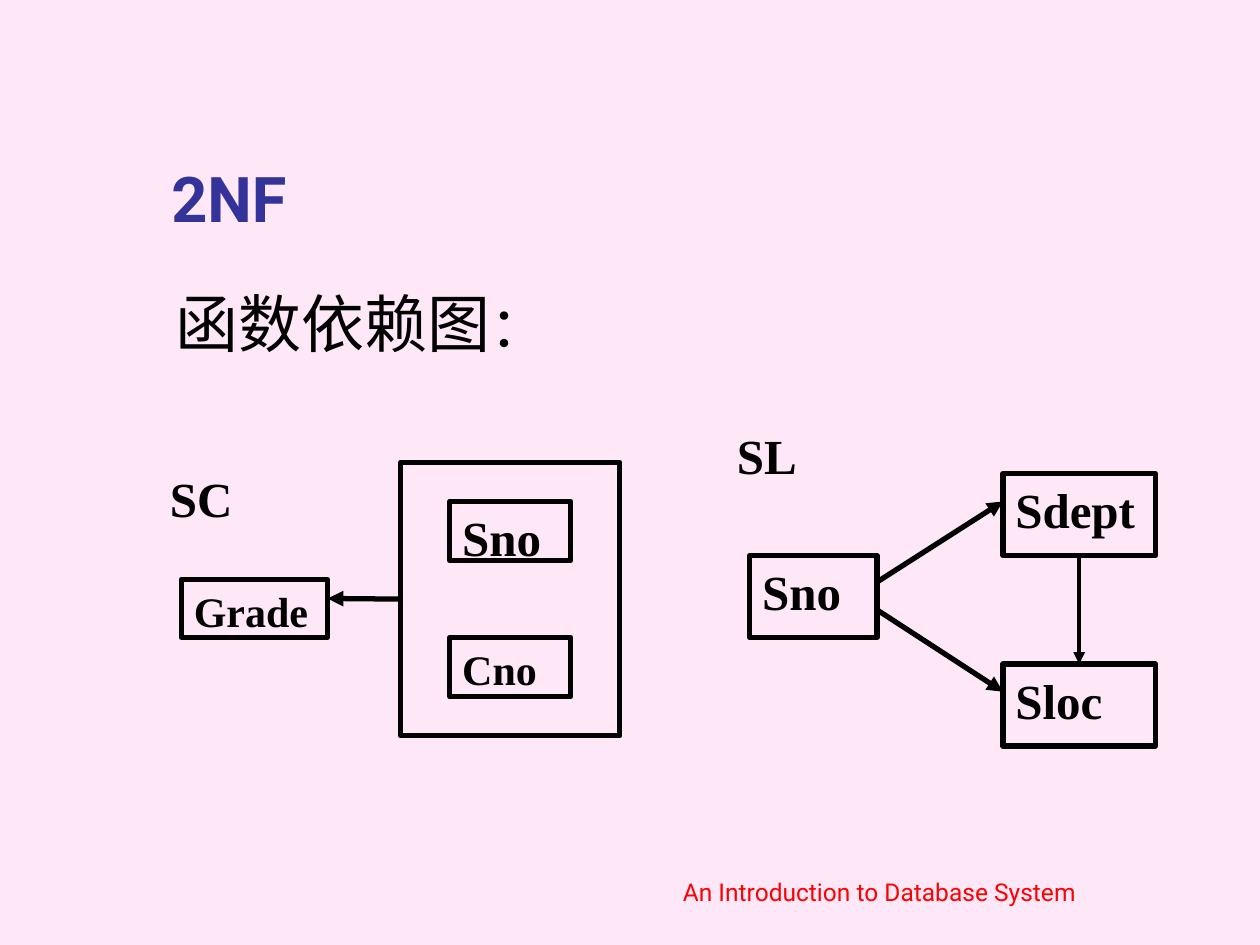
import pptx
import pptx.util
import pptx.dml.color
import pptx.enum.shapes
import pptx.enum.text
import pptx.oxml
import pptx.oxml.ns

Inches = pptx.util.Inches
Pt = pptx.util.Pt
RGBColor = pptx.dml.color.RGBColor
ALIGN = pptx.enum.text.PP_ALIGN
ANCHOR = pptx.enum.text.MSO_ANCHOR

PINK = RGBColor(0xFE, 0xE8, 0xF7)
BLUE = RGBColor(0x33, 0x33, 0x99)
RED = RGBColor(0xFF, 0x00, 0x00)
BLACK = RGBColor(0x00, 0x00, 0x00)
SANS = "Roboto"
SERIF = "Times New Roman"


def add_xml(parent, tag, **attrs):
    """Append an empty DrawingML element and return it."""
    el = pptx.oxml.parse_xml(f"<a:{tag} {pptx.oxml.ns.nsdecls('a')}/>")
    for name, value in attrs.items():
        el.set(name, value)
    parent.append(el)
    return el


def set_font(font, size, color, name, bold=False):
    """Apply size, colour, typeface and weight to a font."""
    font.size = Pt(size)
    font.color.rgb = color
    font.name = name
    font.bold = bold


def write(s, text, size, color=BLACK, name=SERIF, bold=True,
          align=ALIGN.JUSTIFY, anchor=ANCHOR.TOP):
    """Put one formatted paragraph into a shape."""
    tf = s.text_frame
    tf.word_wrap = True
    tf.auto_size = pptx.enum.text.MSO_AUTO_SIZE.NONE
    tf.vertical_anchor = anchor
    p = tf.paragraphs[0]
    p.text = text
    p.alignment = align
    set_font(p.font, size, color, name, bold)


def place(s, left, top, width, height):
    """Move and size a placeholder."""
    s.left, s.top = Inches(left), Inches(top)
    s.width, s.height = Inches(width), Inches(height)


def add_label(shapes, text, left, top, width, height, size=28, **style):
    """Add a text box."""
    s = shapes.add_textbox(Inches(left), Inches(top), Inches(width), Inches(height))
    write(s, text, size, **style)


def add_box(shapes, left, top, width, height, text="", size=28):
    """Add an unfilled rectangle with a black outline."""
    s = shapes.add_shape(pptx.enum.shapes.MSO_SHAPE.RECTANGLE, Inches(left),
                         Inches(top), Inches(width), Inches(height))
    s.shadow.inherit = False
    s.fill.background()
    s.line.color.rgb = BLACK
    s.line.width = Pt(3)
    if text:
        write(s, text, size)
    return s


def add_arrow(shapes, x1, y1, x2, y2, width=3):
    """Add a straight line with an arrowhead at its end."""
    s = shapes.add_connector(pptx.enum.shapes.MSO_CONNECTOR.STRAIGHT,
                             Inches(x1), Inches(y1), Inches(x2), Inches(y2))
    s.line.color.rgb = BLACK
    s.line.width = Pt(width)
    add_xml(s.line._get_or_add_ln(), "tailEnd", type="triangle")
    add_xml(s._element.spPr, "effectLst")
    return s


def add_heading(slide):
    """Fill the title and body placeholders."""
    title, body = slide.shapes.title, slide.placeholders[1]
    place(title, 1.26, 0.67, 8.52, 1.25)
    write(title, "2NF", 36, BLUE, SANS, align=ALIGN.LEFT, anchor=ANCHOR.BOTTOM)

    place(body, 1.29, 2.21, 8.5, 4.5)
    tf = body.text_frame
    tf.auto_size = pptx.enum.text.MSO_AUTO_SIZE.NONE
    p = tf.paragraphs[0]
    p.space_before = Pt(0)
    pPr = p._p.get_or_add_pPr()
    pPr.set("marL", str(Inches(0.38)))
    pPr.set("indent", str(-Inches(0.38)))
    add_xml(pPr, "buNone")
    for text, size in (("函数依赖图", 36), ("：", 32)):
        r = p.add_run()
        r.text = text
        set_font(r.font, size, BLACK, SANS)


def add_sc_diagram(slide):
    """Draw the dependencies of relation SC."""
    shapes = slide.shapes.add_group_shape().shapes
    key = add_box(shapes, 3.18, 3.67, 1.74, 2.17)
    add_box(shapes, 3.57, 3.98, 0.96, 0.47, "Sno")
    add_box(shapes, 3.57, 5.06, 0.96, 0.47, "Cno", 24)
    add_box(shapes, 1.44, 4.6, 1.16, 0.46, "Grade", 24)
    add_arrow(shapes, 3.18, 4.75, 2.6, 4.75).begin_connect(key, 1)
    add_label(shapes, "SC", 1.25, 3.67, 0.97, 0.46)


def add_sl_diagram(slide):
    """Draw the dependencies of relation SL."""
    shapes = slide.shapes.add_group_shape().shapes
    add_label(shapes, "SL", 5.75, 3.33, 1.21, 0.65)
    add_box(shapes, 5.95, 4.41, 1.01, 0.65, "Sno")
    sdept = add_box(shapes, 7.96, 3.76, 1.21, 0.65, "Sdept")
    sloc = add_box(shapes, 7.96, 5.27, 1.21, 0.65, "Sloc")
    add_arrow(shapes, 6.96, 4.62, 7.96, 3.98)
    add_arrow(shapes, 6.96, 4.84, 7.96, 5.49)
    transitive = add_arrow(slide.shapes, 8.57, 4.41, 8.57, 5.27, 2.25)
    transitive.begin_connect(sdept, 2)
    transitive.end_connect(sloc, 0)


def main():
    """Build and save the slide."""
    prs = pptx.Presentation()
    prs.slide_width, prs.slide_height = Inches(10), Inches(7.5)
    slide = prs.slides.add_slide(prs.slide_layouts[1])
    slide.background.fill.solid()
    slide.background.fill.fore_color.rgb = PINK
    add_label(slide.shapes, "An Introduction to Database System", 4.37, 6.74, 5.22, 0.5,
              14, color=RED, name=SANS, bold=False, align=ALIGN.CENTER,
              anchor=ANCHOR.BOTTOM)
    add_heading(slide)
    add_sc_diagram(slide)
    add_sl_diagram(slide)
    prs.save("out.pptx")


if __name__ == "__main__":
    main()
